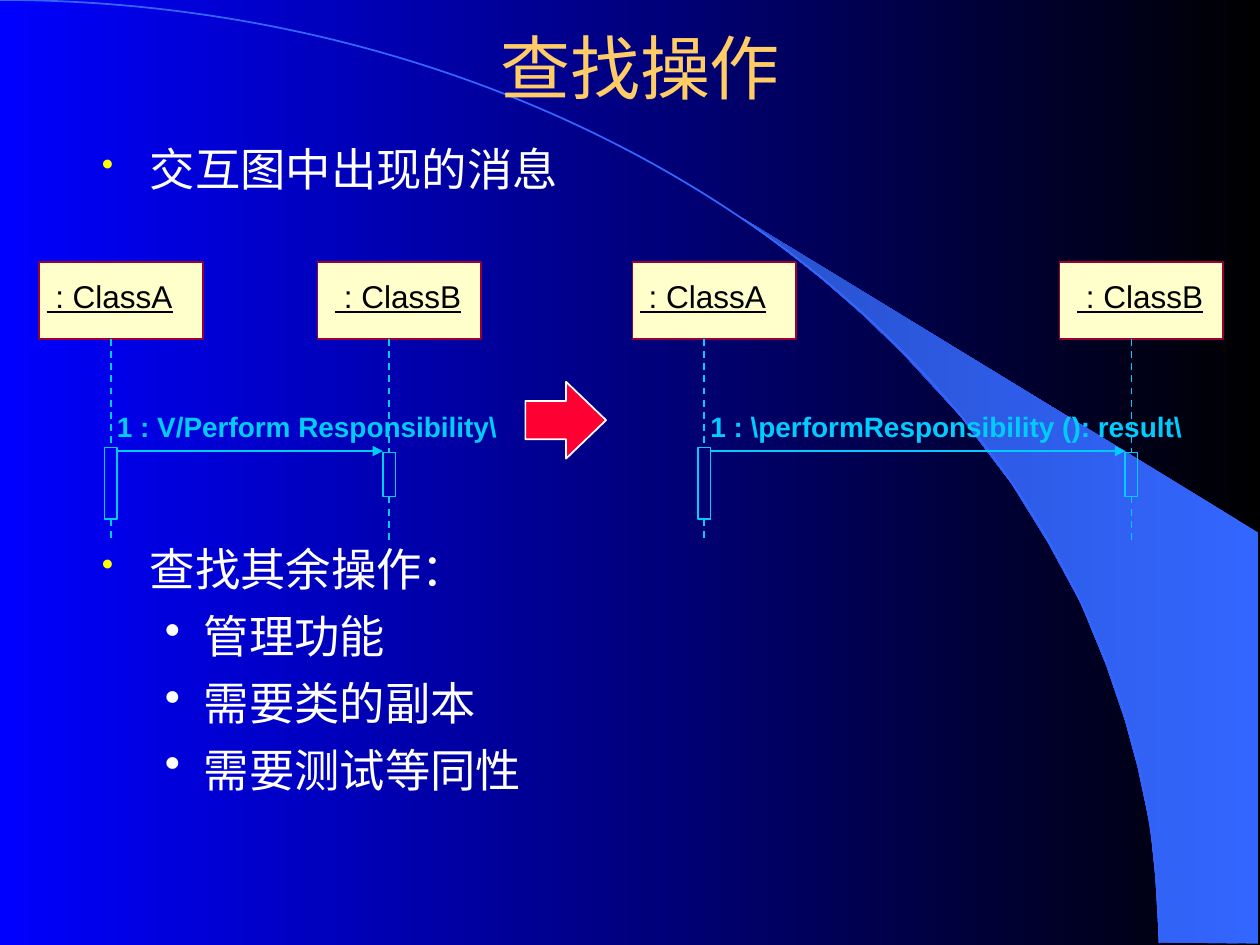
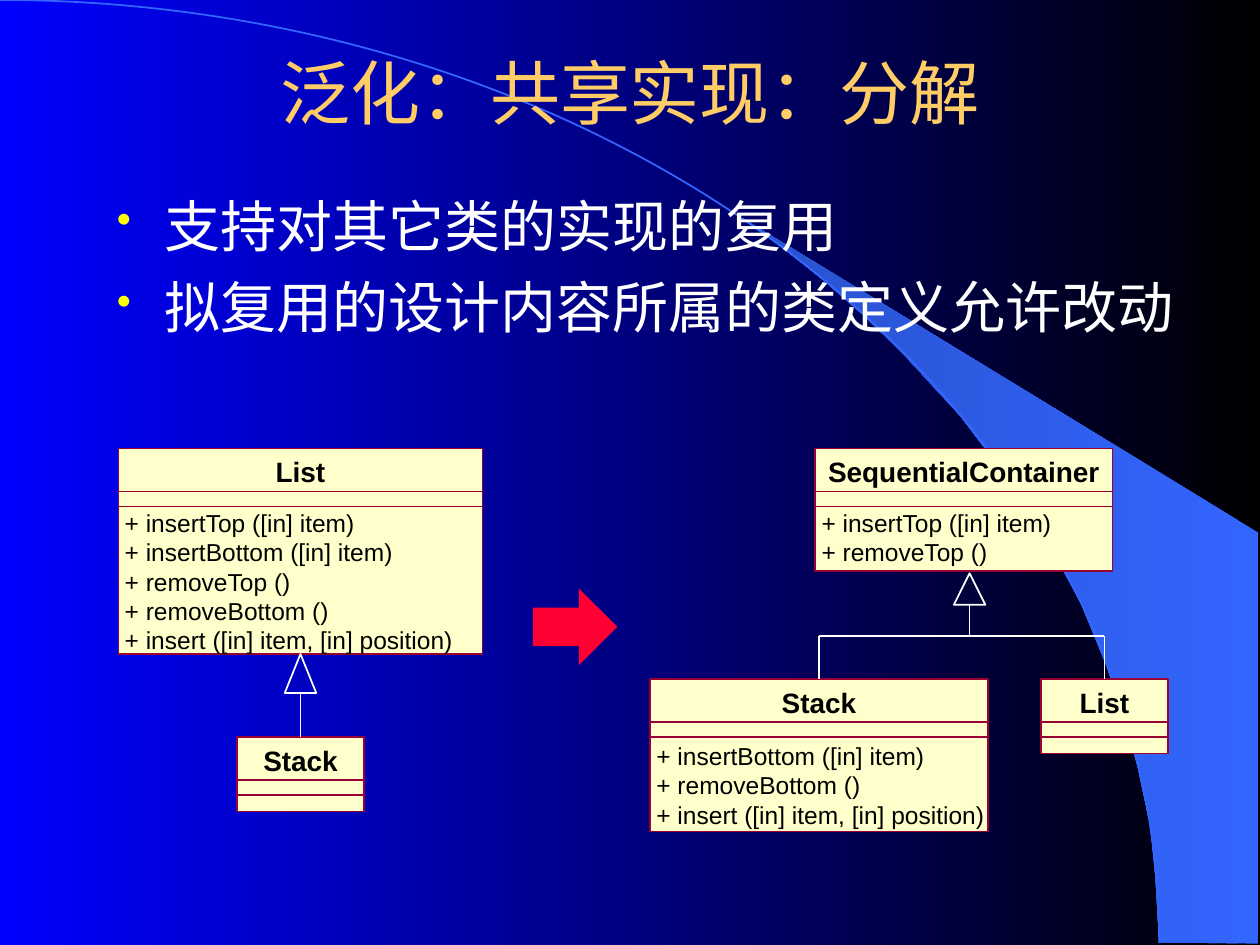
from collections import namedtuple

from lxml import etree
from pptx import Presentation
from pptx.dml.color import RGBColor
from pptx.enum.dml import MSO_LINE
from pptx.enum.shapes import MSO_CONNECTOR, MSO_SHAPE
from pptx.enum.text import MSO_ANCHOR, PP_ALIGN
from pptx.oxml.ns import qn
from pptx.util import Inches, Pt

Box = namedtuple("Box", "left top width height")

WHITE, BLACK, BLUE = "FFFFFF", "000000", "0000FF"
GOLD, YELLOW, CREAM = "FFCC66", "FFFF00", "FFFFCC"
MAROON, CYAN, RED = "990033", "00CCFF", "FF0033"
CRESCENT_LIGHT, CRESCENT_DARK = "3366FF", "2851CC"

TITLE = {"size": Pt(40), "name": "Arial"}
PARTICIPANT = {"size": Pt(18), "name": "Arial", "underline": True}
HEADING = {"size": Pt(16), "name": "Arial", "bold": True}
OPERATION = {"size": Pt(14), "name": "Arial"}

BULLETS = [
    {"margin": 0.38, "hanging": 0.38, "color": YELLOW, "percent": 75},
    {"margin": 0.81, "hanging": 0.31, "color": WHITE, "percent": 100},
]
CRESCENT = [
    (9.2, 7.48), (9.99, 7.49), (9.99, 4.23), (5.89, 1.73), (6.24, 1.99),
    (6.53, 2.22), (6.85, 2.5), (7.16, 2.8), (7.62, 3.3), (8.03, 3.84),
    (8.32, 4.31), (8.58, 4.79), (8.78, 5.28), (8.93, 5.72), (9.03, 6.09),
    (9.13, 6.56), (9.17, 6.96),
]


def rgb(value):
    """Turn a hex string into a colour."""
    return RGBColor.from_string(value)


def apply_format(target, values):
    """Set each named attribute on the target."""
    for name, value in values.items():
        setattr(target, name, value)


def fill_gradient(fill, right, left):
    """Fill with a gradient running from the right edge to the left."""
    fill.gradient()
    fill.gradient_angle = 180
    for stop, color in zip(fill.gradient_stops, (right, left)):
        stop.color.rgb = rgb(color)


def paint(shape, fill=None, line=None, width=1):
    """Give a shape a plain fill and outline without a shadow."""
    shape.shadow.inherit = False
    if fill:
        shape.fill.solid()
        shape.fill.fore_color.rgb = rgb(fill)
    else:
        shape.fill.background()
    if line:
        shape.line.color.rgb = rgb(line)
        shape.line.width = Pt(width)
    else:
        shape.line.fill.background()


def add_preset(slide, kind, box, **look):
    """Add a painted preset shape in the box."""
    shape = slide.shapes.add_shape(kind, *map(Inches, box))
    paint(shape, **look)
    return shape


def add_line(slide, start, end, color, dashed=False, arrow=False):
    """Add a straight connector between two points."""
    connector = slide.shapes.add_connector(
        MSO_CONNECTOR.STRAIGHT, *map(Inches, (*start, *end)))
    connector.line.color.rgb = rgb(color)
    connector.line.width = Pt(1)
    if dashed:
        connector.line.dash_style = MSO_LINE.DASH
    if arrow:
        outline = connector.line._ln
        etree.SubElement(outline, qn("a:tailEnd"), type="triangle")
    etree.SubElement(connector._element.spPr, qn("a:effectLst"))
    return connector


def write(shape, lines, font, color, align=PP_ALIGN.LEFT,
          anchor=MSO_ANCHOR.TOP, insets=(0.1, 0.05, 0.1, 0.05)):
    """Write one paragraph per line into a shape."""
    frame = shape.text_frame
    sides = ("margin_left", "margin_top", "margin_right", "margin_bottom")
    apply_format(frame, {"word_wrap": True, "vertical_anchor": anchor})
    apply_format(frame, dict(zip(sides, map(Inches, insets))))
    for index, line in enumerate(lines):
        paragraph = frame.add_paragraph() if index else frame.paragraphs[0]
        paragraph.text = line
        paragraph.alignment = align
        apply_format(paragraph.font, font)
        paragraph.font.color.rgb = rgb(color)


def add_text(slide, box, lines, font, color, **layout):
    """Add a text box with the given lines."""
    write(slide.shapes.add_textbox(*map(Inches, box)), lines, font, color, **layout)


def add_bullet(paragraph, margin, hanging, color, percent):
    """Give a paragraph a round bullet with a hanging indent."""
    properties = paragraph._p.get_or_add_pPr()
    properties.set("marL", str(Inches(margin)))
    properties.set("indent", str(-Inches(hanging)))
    bullet_color = etree.SubElement(properties, qn("a:buClr"))
    etree.SubElement(bullet_color, qn("a:srgbClr"), val=color)
    etree.SubElement(properties, qn("a:buSzPct"), val=str(percent * 1000))
    etree.SubElement(properties, qn("a:buChar"), char="•")


def add_bullets(slide, box, items, size, gap):
    """Add a list of (level, text) items."""
    frame = slide.shapes.add_textbox(*map(Inches, box)).text_frame
    frame.word_wrap = True
    for index, (level, text) in enumerate(items):
        paragraph = frame.add_paragraph() if index else frame.paragraphs[0]
        add_bullet(paragraph, **BULLETS[level])
        paragraph.text = text
        paragraph.level = level
        if index:
            paragraph.space_before = Pt(gap)
        apply_format(paragraph.font, {"size": Pt(size), "name": "Times New Roman"})
        paragraph.font.color.rgb = rgb(WHITE)


def add_backdrop(slide):
    """Draw the crescent and the arc behind the content."""
    points = [(Inches(x), Inches(y)) for x, y in CRESCENT]
    builder = slide.shapes.build_freeform(*points[0])
    builder.add_line_segments(points[1:], close=True)
    crescent = builder.convert_to_shape()
    paint(crescent)
    fill_gradient(crescent.fill, CRESCENT_LIGHT, CRESCENT_DARK)
    add_preset(slide, MSO_SHAPE.ARC, Box(-9.2, 0, 18.4, 14.97), line=CRESCENT_LIGHT)


def start_slide(presentation, title, title_box):
    """Add a blank slide with the backdrop and its title."""
    slide = presentation.slides.add_slide(presentation.slide_layouts[6])
    add_backdrop(slide)
    add_text(slide, title_box, [title], TITLE, GOLD,
             align=PP_ALIGN.CENTER, anchor=MSO_ANCHOR.MIDDLE)
    return slide


def add_block_arrow(slide, box, head, line=None):
    """Add the red arrow that leads from before to after."""
    arrow = add_preset(slide, MSO_SHAPE.RIGHT_ARROW, box, fill=RED, line=line)
    arrow.adjustments[0] = 0.5
    arrow.adjustments[1] = head


def add_participant(slide, box, name, inset, bar_box):
    """Draw a named head, its dashed lifeline and its activation bar."""
    head = add_preset(slide, MSO_SHAPE.RECTANGLE, box._replace(height=0.61),
                      fill=CREAM, line=MAROON)
    write(head, [name], PARTICIPANT, BLACK, insets=(inset, 0.12, 0, 0))
    bar = add_preset(slide, MSO_SHAPE.RECTANGLE, bar_box, line=CYAN, width=0.75)
    axis = bar_box.left + bar_box.width / 2
    bar_bottom = bar_box.top + bar_box.height
    upper = add_line(slide, (axis, box.top + 0.61), (axis, bar_box.top), CYAN, dashed=True)
    upper.end_connect(bar, 0)
    lower = add_line(slide, (axis, bar_bottom), (axis, box.top + box.height),
                     CYAN, dashed=True)
    lower.begin_connect(bar, 2)


def add_sequence(slide, box, message):
    """Draw two participants in the box and the message between them."""
    head_width, bar_width = 1.3, 0.1
    receiver_left = box.left + box.width - head_width
    caller_bar = Box(box.left + 0.52, box.top + 1.47, bar_width, 0.57)
    receiver_bar = Box(receiver_left + 0.52, box.top + 1.51, bar_width, 0.35)
    add_participant(slide, box._replace(width=head_width), " : ClassA", 0.06, caller_bar)
    add_participant(slide, box._replace(left=receiver_left, width=head_width),
                    " : ClassB", 0.14, receiver_bar)
    arrow_top = box.top + 1.5
    add_line(slide, (caller_bar.left + bar_width, arrow_top),
             (receiver_bar.left, arrow_top), CYAN, arrow=True)
    add_text(slide, Box(caller_bar.left, box.top + 1.12, 4.2, 0.37),
             [message], HEADING, CYAN)


def add_class(slide, box, name, operations=(), operations_top=0.47):
    """Draw a class with name, attribute and operation compartments."""
    shape = add_preset(slide, MSO_SHAPE.RECTANGLE, box, fill=CREAM, line=MAROON)
    write(shape, [name], HEADING, BLACK, align=PP_ALIGN.CENTER, insets=(0, 0.05, 0, 0))
    for offset in (0.34, 0.46):
        top = box.top + offset
        add_line(slide, (box.left, top), (box.left + box.width, top), MAROON)
    if operations:
        add_text(slide, Box(box.left + 0.05, box.top + operations_top, box.width - 0.05,
                            box.height - operations_top),
                 operations, OPERATION, BLACK, insets=(0, 0, 0, 0))
    return shape


def add_generalization(slide, triangle_box, stem_bottom, children):
    """Draw the hollow triangle and join it to the child classes."""
    add_preset(slide, MSO_SHAPE.ISOSCELES_TRIANGLE, triangle_box, line=WHITE)
    axis = triangle_box.left + triangle_box.width / 2
    triangle_bottom = triangle_box.top + triangle_box.height
    if len(children) == 1:
        stem = add_line(slide, (axis, stem_bottom), (axis, triangle_bottom), WHITE)
        stem.begin_connect(children[0], 0)
        return
    add_line(slide, (axis, triangle_bottom), (axis, stem_bottom), WHITE)
    centers = [(child.left + child.width / 2) / Inches(1) for child in children]
    add_line(slide, (centers[0], stem_bottom), (centers[-1], stem_bottom), WHITE)
    for child, center in zip(children, centers):
        branch = add_line(slide, (center, child.top / Inches(1)),
                          (center, stem_bottom), WHITE)
        branch.begin_connect(child, 0)


def build_operations_slide(presentation):
    """Show how messages turn into operations."""
    slide = start_slide(presentation, "查找操作", Box(0.83, 0.21, 8.5, 0.64))
    add_bullets(slide, Box(0.71, 1.07, 9.28, 0.6), [(0, "交互图中出现的消息")], 25.9, 7)
    add_bullets(slide, Box(0.71, 4.25, 9.28, 2.34),
                [(0, "查找其余操作："), (1, "管理功能"),
                 (1, "需要类的副本"), (1, "需要测试等同性")], 25.9, 7)
    add_sequence(slide, Box(0.31, 2.08, 3.51, 2.22), "1 : V/Perform Responsibility\\")
    add_sequence(slide, Box(5.02, 2.08, 4.69, 2.22),
                 "1 : \\performResponsibility (): result\\")
    add_block_arrow(slide, Box(4.17, 3.03, 0.64, 0.61), 0.52, line=WHITE)


def build_generalization_slide(presentation):
    """Show a class hierarchy before and after factoring."""
    slide = start_slide(presentation, "泛化：共享实现：分解", Box(0.75, 0.44, 8.5, 0.58))
    add_bullets(slide, Box(0.83, 1.47, 8.76, 2.05),
                [(0, "支持对其它类的实现的复用"),
                 (0, "拟复用的设计内容所属的类定义允许改动")], 32, 8)
    insert_top, remove_top = "+ insertTop ([in] item)", "+ removeTop ()"
    insert_bottom, remove_bottom = "+ insertBottom ([in] item)", "+ removeBottom ()"
    insert = "+ insert ([in] item, [in] position)"

    add_class(slide, Box(0.94, 3.56, 2.89, 1.63), "List",
              [insert_top, insert_bottom, remove_top, remove_bottom, insert])
    stack = add_class(slide, Box(1.88, 5.85, 1.01, 0.59), "Stack")
    add_generalization(slide, Box(2.26, 5.19, 0.25, 0.31), 5.85, [stack])

    add_block_arrow(slide, Box(4.23, 4.67, 0.67, 0.61), 0.5)

    add_class(slide, Box(6.47, 3.56, 2.36, 0.97), "SequentialContainer",
              [insert_top, remove_top])
    stack = add_class(slide, Box(5.16, 5.39, 2.68, 1.21), "Stack",
                      [insert_bottom, remove_bottom, insert], operations_top=0.49)
    linked_list = add_class(slide, Box(8.26, 5.39, 1.01, 0.59), "List")
    add_generalization(slide, Box(7.57, 4.55, 0.25, 0.25), 5.05, [stack, linked_list])


def main():
    """Build the presentation and save it."""
    presentation = Presentation()
    presentation.slide_width = Inches(10)
    presentation.slide_height = Inches(7.5)
    fill_gradient(presentation.slide_master.background.fill, BLACK, BLUE)
    build_operations_slide(presentation)
    build_generalization_slide(presentation)
    presentation.save("out.pptx")


if __name__ == "__main__":
    main()
